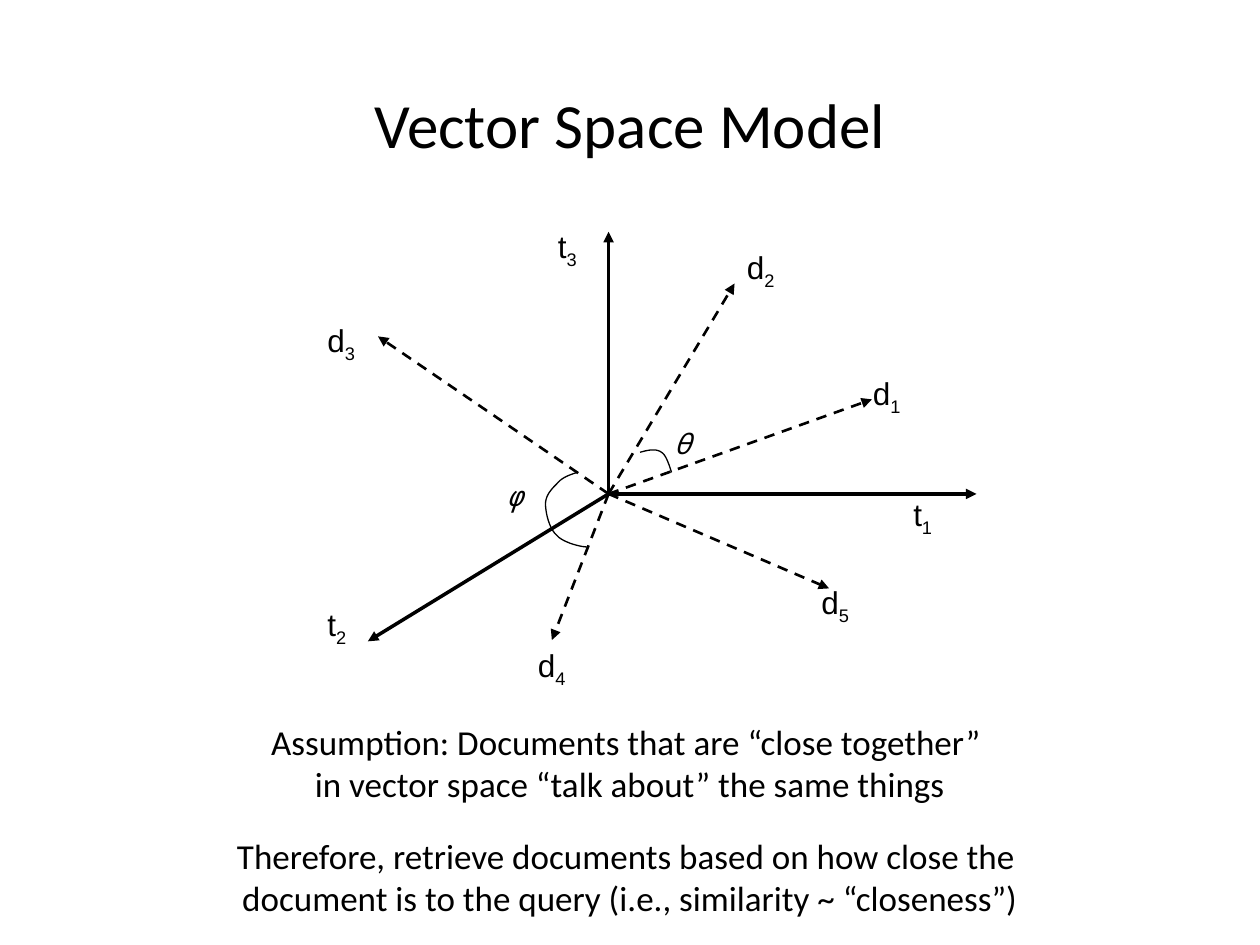
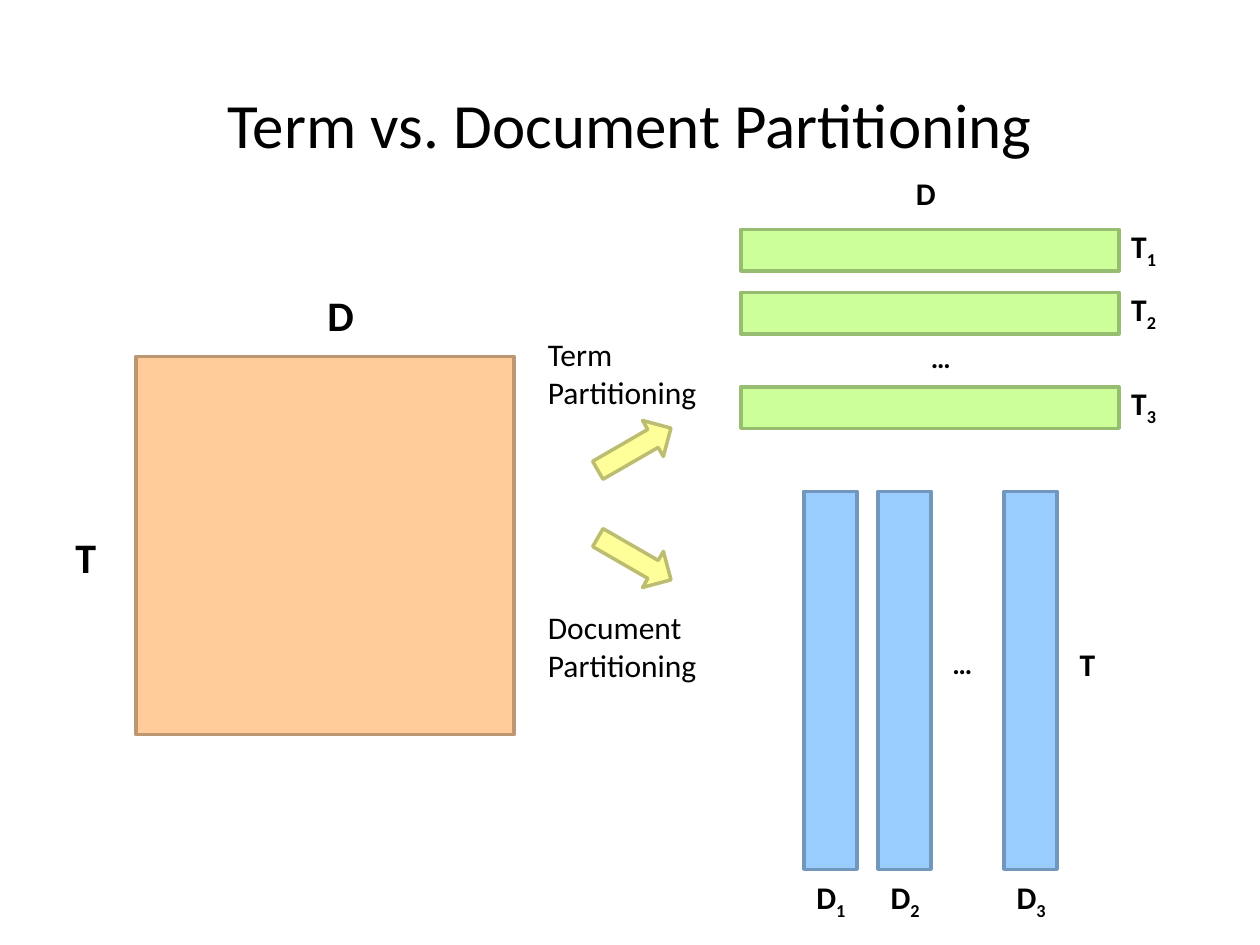
from lxml import etree
from pptx import Presentation
from pptx.dml.color import RGBColor
from pptx.enum.dml import MSO_LINE
from pptx.enum.shapes import MSO_CONNECTOR, MSO_SHAPE
from pptx.enum.text import MSO_ANCHOR, MSO_AUTO_SIZE, PP_ALIGN
from pptx.oxml.ns import qn
from pptx.util import Inches, Pt

LEFT, CENTER = PP_ALIGN.LEFT, PP_ALIGN.CENTER
MIDDLE = MSO_ANCHOR.MIDDLE
GROW, FIXED = MSO_AUTO_SIZE.SHAPE_TO_FIT_TEXT, MSO_AUTO_SIZE.NONE
RECTANGLE, RIGHT_ARROW = MSO_SHAPE.RECTANGLE, MSO_SHAPE.RIGHT_ARROW
STRAIGHT, DASH = MSO_CONNECTOR.STRAIGHT, MSO_LINE.DASH

BLACK = RGBColor(0x00, 0x00, 0x00)
# (fill, line) pairs
ORANGE = RGBColor(0xFF, 0xCC, 0x99), RGBColor(0xBD, 0x97, 0x71)
BLUE = RGBColor(0x99, 0xCC, 0xFF), RGBColor(0x71, 0x97, 0xBD)
GREEN = RGBColor(0xCC, 0xFF, 0x99), RGBColor(0x97, 0xBD, 0x71)
YELLOW = RGBColor(0xFF, 0xFF, 0x99), RGBColor(0xBD, 0xBD, 0x71)

BODY_FONT, LABEL_FONT, GREEK_FONT = "Calibri", "Arial", "Noto Sans Mono"
SLIDE_W, SLIDE_H = 10, 7.5

# Slide 1: vector space. "_" starts a subscript.
ORIGIN = (4.83, 3.92)
TERM_AXES = [  # label, label position, arrow tip
    ("t_1", (7.15, 3.88), (7.75, 3.92)),
    ("t_2", (2.5, 4.75), (2.92, 5.09)),
    ("t_3", (4.33, 1.75), (4.83, 1.84)),
]
DOCUMENT_VECTORS = [
    ("d_1", (6.83, 2.92), (6.92, 3.17)),
    ("d_2", (5.83, 1.92), (5.83, 2.25)),
    ("d_3", (2.5, 2.5), (3, 2.67)),
    ("d_4", (4.17, 5.08), (4.38, 5.08)),
    ("d_5", (6.42, 4.58), (6.58, 4.67)),
]
ANGLES = [  # label, label position, start, Bezier pieces
    ("θ", (5.25, 3.34), (5.08, 3.59), [
        ((5.15, 3.57), (5.21, 3.56), (5.25, 3.59)),
        ((5.29, 3.61), (5.32, 3.72), (5.33, 3.75))]),
    ("φ", (3.92, 3.75), (4.58, 3.75), [
        ((4.52, 3.77), (4.46, 3.79), (4.42, 3.84)),
        ((4.38, 3.88), (4.33, 3.93), (4.33, 4)),
        ((4.33, 4.07), (4.36, 4.2), (4.42, 4.25)),
        ((4.47, 4.31), (4.64, 4.35), (4.67, 4.34))]),
]
CONCLUSIONS = [
    (5.67, "Assumption: Documents that are “close together” \n"
           "in vector space “talk about” the same things"),
    (6.57, "Therefore, retrieve documents based on how close the \n"
           "document is to the query (i.e., similarity ~ “closeness”)"),
]

# Slide 2: partitioning of the term-document matrix
MATRIX_SIDE = 3
TERM_ROWS = [("T_1", 1.82), ("T_2", 2.32), ("T_3", 3.07)]
ROW_LEFT, ROW_HEIGHT = 5.88, 0.33
DOCUMENT_COLUMNS = [("D_1", 6.38), ("D_2", 6.97), ("D_3", 7.97)]
COLUMN_TOP, COLUMN_WIDTH = 3.9, 0.42
DIMENSIONS = [  # text, box, size
    ("T", (0.5, 4.17, 0.46, 0.5), 24),
    ("D", (2.5, 2.25, 0.48, 0.5), 24),
    ("D", (7.17, 1.33, 0.41, 0.4), 18),
    ("T", (8.47, 5.07, 0.4, 0.4), 18),
    ("…", (7.29, 2.65, 0.43, 0.37), 16),
    ("…", (7.46, 5.08, 0.43, 0.37), 16),
]
STRATEGIES = [  # text, text top, arrow top, arrow rotation
    ("Term \nPartitioning", 2.61, 3.4, 330),
    ("Document\nPartitioning", 4.78, 4.27, 30),
]


def inches(values):
    return [Inches(value) for value in values]


def write_text(frame, text, size=18, font=BODY_FONT, bold=False, italic=False,
               align=LEFT, wrap=False, fit=GROW):
    """Fill a frame; a newline breaks the line, "_" starts a subscript."""
    frame.word_wrap = wrap
    frame.auto_size = fit
    paragraph = frame.paragraphs[0]
    paragraph.alignment = align
    for row, line in enumerate(text.split("\n")):
        if row:
            paragraph.add_line_break()
        for part, piece in enumerate(line.split("_")):
            run = paragraph.add_run()
            run.text = piece
            run.font.size = Pt(size)
            run.font.name = font
            run.font.bold = bold
            run.font.italic = italic
            run.font.color.rgb = BLACK
            if part:
                run.font._element.set("baseline", "-25000")


def add_label(slide, text, box, **text_format):
    write_text(slide.shapes.add_textbox(*inches(box)).text_frame, text, **text_format)


def add_titled_slide(deck, text):
    slide = deck.slides.add_slide(deck.slide_layouts.get_by_name("Title Only"))
    title = slide.shapes.title
    title.left, title.top, title.width, title.height = inches((0, 0.6, SLIDE_W, 0.75))
    title.text_frame.vertical_anchor = MIDDLE
    write_text(title.text_frame, text, size=36, align=CENTER, wrap=True, fit=FIXED)
    return slide


def add_vector(slide, tip, width, dash=None):
    vector = slide.shapes.add_connector(STRAIGHT, *inches(ORIGIN + tip))
    vector.line.color.rgb = BLACK
    vector.line.width = Pt(width)
    if dash:
        vector.line.dash_style = dash
    etree.SubElement(vector.line._get_or_add_ln(), qn("a:tailEnd"), type="triangle")
    etree.SubElement(vector._element.spPr, qn("a:effectLst"))


def bezier_points(start, pieces, steps=10):
    """Points along a chain of cubic curves, without the start."""
    points = []
    for first, second, end in pieces:
        for step in range(1, steps + 1):
            t = step / steps
            weights = (1 - t) ** 3, 3 * t * (1 - t) ** 2, 3 * t * t * (1 - t), t ** 3
            points.append([sum(w * p[axis] for w, p in zip(weights, (start, first, second, end)))
                           for axis in (0, 1)])
        start = end
    return points


def add_arc(slide, start, pieces):
    builder = slide.shapes.build_freeform(*inches(start))
    builder.add_line_segments([inches(p) for p in bezier_points(start, pieces)], close=False)
    arc = builder.convert_to_shape()
    arc.fill.background()
    arc.line.color.rgb = BLACK
    arc.line.width = Pt(0.75)
    arc.shadow.inherit = False


def add_block(slide, box, colors, preset=RECTANGLE, rotation=0):
    block = slide.shapes.add_shape(preset, *inches(box))
    fill, line = colors
    block.fill.solid()
    block.fill.fore_color.rgb = fill
    block.line.color.rgb = line
    block.line.width = Pt(2)
    block.shadow.inherit = False
    block.rotation = rotation


def build_vector_space(deck):
    slide = add_titled_slide(deck, "Vector Space Model")
    for vectors, line_width, dash, label_width in (
            (TERM_AXES, 2, None, 0.36), (DOCUMENT_VECTORS, 1.5, DASH, 0.43)):
        for label, position, tip in vectors:
            add_vector(slide, tip, line_width, dash)
            add_label(slide, label, (*position, label_width, 0.4), font=LABEL_FONT)
    for label, position, start, pieces in ANGLES:
        add_arc(slide, start, pieces)
        add_label(slide, label, (*position, 0.3, 0.37), size=16, font=GREEK_FONT,
                  italic=True, wrap=True)
    for top, text in CONCLUSIONS:
        add_label(slide, text, (0, top, SLIDE_W, 0.77), size=20, align=CENTER, wrap=True)


def build_partitioning(deck):
    slide = add_titled_slide(deck, "Term vs. Document Partitioning")
    add_block(slide, (1.08, 2.83, MATRIX_SIDE, MATRIX_SIDE), ORANGE)
    for label, top in TERM_ROWS:
        add_block(slide, (ROW_LEFT, top, MATRIX_SIDE, ROW_HEIGHT), GREEN)
        add_label(slide, label, (ROW_LEFT + MATRIX_SIDE, top - 0.07, 0.5, 0.4), bold=True)
    for label, left in DOCUMENT_COLUMNS:
        add_block(slide, (left, COLUMN_TOP, COLUMN_WIDTH, MATRIX_SIDE), BLUE)
        add_label(slide, label, (left, COLUMN_TOP + MATRIX_SIDE + 0.02, 0.51, 0.4), bold=True)
    for text, box, size in DIMENSIONS:
        add_label(slide, text, box, size=size, bold=True)
    for text, text_top, arrow_top, rotation in STRATEGIES:
        add_block(slide, (4.7, arrow_top, 0.67, 0.33), YELLOW, RIGHT_ARROW, rotation)
        add_label(slide, text, (4.25, text_top, 1.38, 0.71))


def main():
    deck = Presentation()
    deck.slide_width, deck.slide_height = inches((SLIDE_W, SLIDE_H))
    build_vector_space(deck)
    build_partitioning(deck)
    deck.save("out.pptx")


if __name__ == "__main__":
    main()
